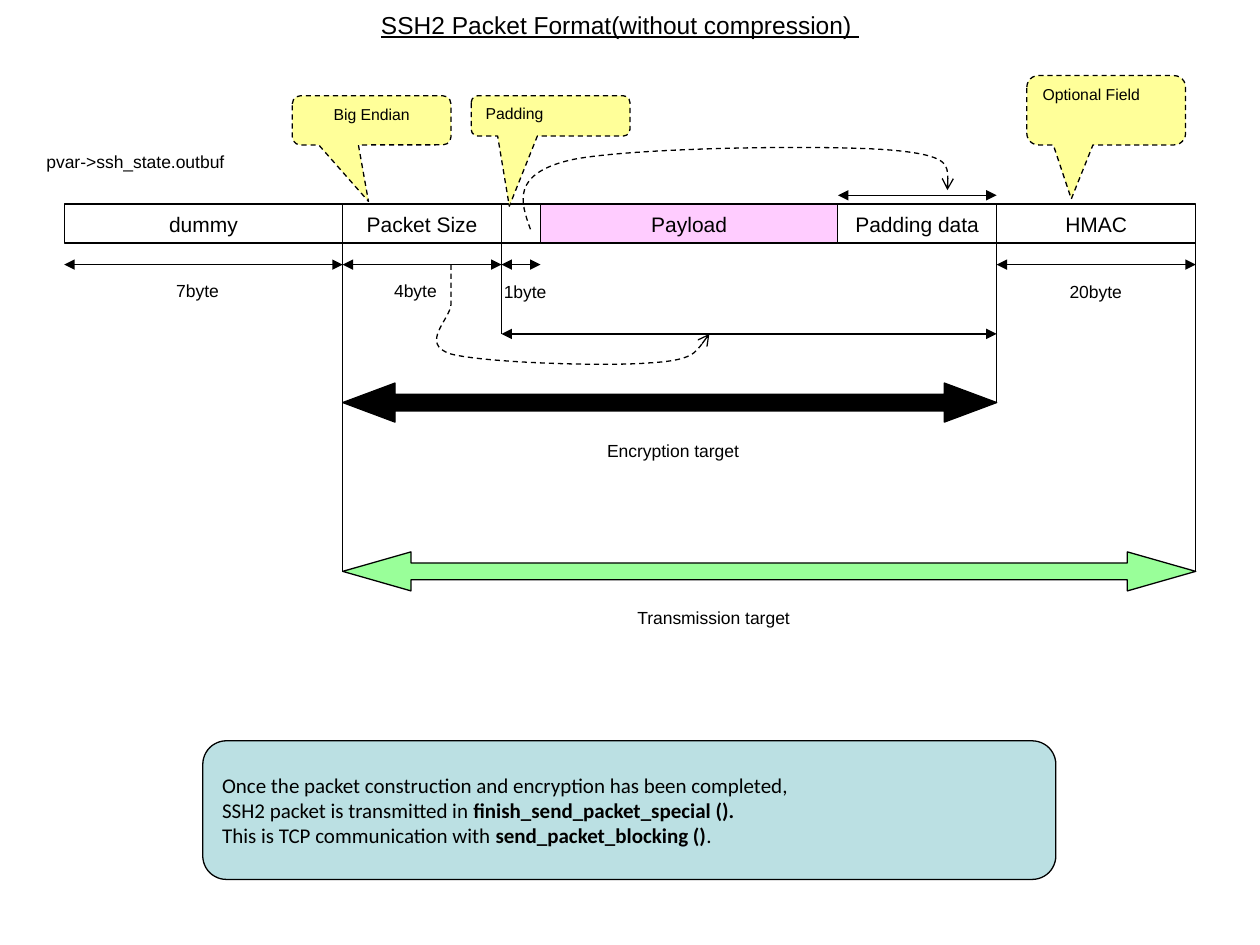
from lxml.etree import SubElement
from pptx import Presentation
from pptx.dml.color import RGBColor
from pptx.enum.dml import MSO_LINE
from pptx.enum.shapes import MSO_CONNECTOR, MSO_SHAPE as SHAPE
from pptx.enum.text import MSO_ANCHOR as ANCHOR, PP_ALIGN as ALIGN
from pptx.oxml.ns import qn
from pptx.util import Inches, Pt

BLACK = RGBColor(0x00, 0x00, 0x00)
YELLOW = RGBColor(0xFF, 0xFF, 0x99)
PINK = RGBColor(0xFF, 0xCC, 0xFF)
GREEN = RGBColor(0x99, 0xFF, 0x99)
TEAL = RGBColor(0xBB, 0xE0, 0xE3)

prs = Presentation()
prs.slide_width, prs.slide_height = Inches(10), Inches(7.5)
slide = prs.slides.add_slide(prs.slide_layouts[6])
shapes = slide.shapes


def add_box(kind, left, top, width, height, fill=None, adjustments=()):
    box = shapes.add_shape(kind, Inches(left), Inches(top), Inches(width), Inches(height))
    box.shadow.inherit = False
    if fill is None:
        box.fill.background()
    else:
        box.fill.solid()
        box.fill.fore_color.rgb = fill
    box.line.color.rgb = BLACK
    box.line.width = Pt(0.75)
    for index, value in enumerate(adjustments):
        box.adjustments[index] = value
    return box


def write(box, lines, size, align=ALIGN.LEFT, anchor=ANCHOR.TOP, font="Arial", underline=None):
    frame = box.text_frame
    frame.word_wrap = True
    frame.vertical_anchor = anchor
    for index, runs in enumerate(lines):
        paragraph = frame.add_paragraph() if index else frame.paragraphs[0]
        paragraph.alignment = align
        for text, bold in runs:
            run = paragraph.add_run()
            run.text = text
            run.font.name = font
            run.font.size = Pt(size)
            run.font.bold = bold
            run.font.underline = underline
            run.font.color.rgb = BLACK


title = shapes.add_textbox(Inches(0.67), Inches(0), Inches(8.5), Inches(0.39))
write(title, [[("SSH2 Packet Format(without compression) ", False)]], 14,
      ALIGN.CENTER, ANCHOR.MIDDLE, underline=True)

edges = [0.51, 2.72, 3.98, 4.29, 6.65, 7.91, 9.49]
dummy_x, size_x, length_x, payload_x, padding_x, hmac_x, end_x = edges
field_top, field_height = 1.62, 0.31
field_bottom = field_top + field_height
names = ["dummy", "Packet Size", "", "Payload", "Padding data", "HMAC"]
for name, left, right in zip(names, edges, edges[1:]):
    field = add_box(SHAPE.RECTANGLE, left, field_top, right - left, field_height,
                    PINK if name == "Payload" else None)
    if name:
        write(field, [[(name, False)]], 12, ALIGN.CENTER, ANCHOR.MIDDLE)

for text, left, top, width in [
    ("pvar->ssh_state.outbuf", 0.27, 1.15, 1.73),
    ("7byte", 1.3, 2.17, 0.63),
    ("4byte", 3.03, 2.17, 0.63),
    ("1byte", 3.9, 2.18, 0.63),
    ("20byte", 8.39, 2.18, 0.71),
    ("Encryption target", 4.72, 3.44, 1.42),
    ("Transmission target", 4.96, 4.77, 1.54),
]:
    label = shapes.add_textbox(Inches(left), Inches(top), Inches(width), Inches(0.27))
    write(label, [[(text, False)]], 10)

for text, left, top, height, tip, align in [
    ("Big Endian", 2.32, 0.76, 0.39, (-0.02, 1.65), ALIGN.CENTER),
    ("Padding", 3.74, 0.76, 0.32, (-0.26, 2.24), ALIGN.LEFT),
    ("Optional Field", 8.15, 0.6, 0.55, (-0.22, 1.28), ALIGN.LEFT),
]:
    callout = add_box(SHAPE.ROUNDED_RECTANGULAR_CALLOUT, left, top, 1.26, height, YELLOW, tip)
    callout.line.dash_style = MSO_LINE.DASH
    write(callout, [[(text, False)]], 9, align)

encryption_y, transmission_y = 3.2, 4.54
for right, middle, fill, head in [
    (hmac_x, encryption_y, BLACK, 1.34),
    (end_x, transmission_y, GREEN, 1.75),
]:
    add_box(SHAPE.LEFT_RIGHT_ARROW, size_x, middle - 0.16, right - size_x, 0.31,
            fill, (0.43, head))

byte_y, span_y, padding_y = 2.1, 2.65, 1.55
for x1, y1, x2, y2 in [
    (dummy_x, byte_y, size_x, byte_y),
    (size_x, byte_y, length_x, byte_y),
    (length_x, byte_y, payload_x, byte_y),
    (hmac_x, byte_y, end_x, byte_y),
    (length_x, span_y, hmac_x, span_y),
    (padding_x, padding_y, hmac_x, padding_y),
    (size_x, field_bottom, size_x, transmission_y),
    (length_x, field_bottom, length_x, span_y),
    (hmac_x, field_bottom, hmac_x, encryption_y),
    (end_x, field_bottom, end_x, transmission_y),
]:
    rule = shapes.add_connector(MSO_CONNECTOR.STRAIGHT, Inches(x1), Inches(y1),
                                Inches(x2), Inches(y2))
    rule.line.color.rgb = BLACK
    rule.line.width = Pt(0.75)
    if y1 == y2:
        for end in ("a:headEnd", "a:tailEnd"):
            SubElement(rule.line._get_or_add_ln(), qn(end), type="triangle")
    SubElement(rule._element.spPr, qn("a:effectLst"))

size_curve = [(3.58, 2.1), (3.58, 2.19), (3.58, 2.29), (3.58, 2.41), (3.58, 2.53),
              (3.32, 2.73), (3.58, 2.81), (3.85, 2.88), (4.82, 2.91), (5.16, 2.88),
              (5.5, 2.86), (5.56, 2.75), (5.63, 2.65)]
padding_curve = [(4.21, 1.82), (4.13, 1.6), (4.06, 1.38), (4.53, 1.27), (5, 1.17),
                 (6.55, 1.15), (7.05, 1.19), (7.55, 1.23), (7.53, 1.37), (7.52, 1.51)]
for points in (size_curve, padding_curve):
    corners = [(Inches(x), Inches(y)) for x, y in points]
    builder = shapes.build_freeform(*corners[0])
    builder.add_line_segments(corners[1:], close=False)
    pointer = builder.convert_to_shape()
    pointer.shadow.inherit = False
    pointer.fill.background()
    pointer.line.color.rgb = BLACK
    pointer.line.width = Pt(0.75)
    pointer.line.dash_style = MSO_LINE.DASH
    SubElement(pointer.line._get_or_add_ln(), qn("a:tailEnd"), type="arrow")
    segments = list(pointer._element.iter(qn("a:lnTo")))
    outline = segments[0].getparent()
    for start in range(0, len(segments), 3):
        bezier = SubElement(outline, qn("a:cubicBezTo"))
        for segment in segments[start:start + 3]:
            bezier.append(segment[0])
            outline.remove(segment)

note = add_box(SHAPE.ROUNDED_RECTANGLE, 1.61, 5.88, 6.77, 1.1, TEAL, (0.17,))
write(note, [
    [("Once the packet construction and encryption has been completed,", False)],
    [("SSH2 packet is transmitted in ", False), ("finish_send_packet_special ().", True)],
    [("This is TCP communication with ", False), ("send_packet_blocking ()", True), (".", False)],
], 12, anchor=ANCHOR.MIDDLE, font="Calibri")

prs.save("out.pptx")
